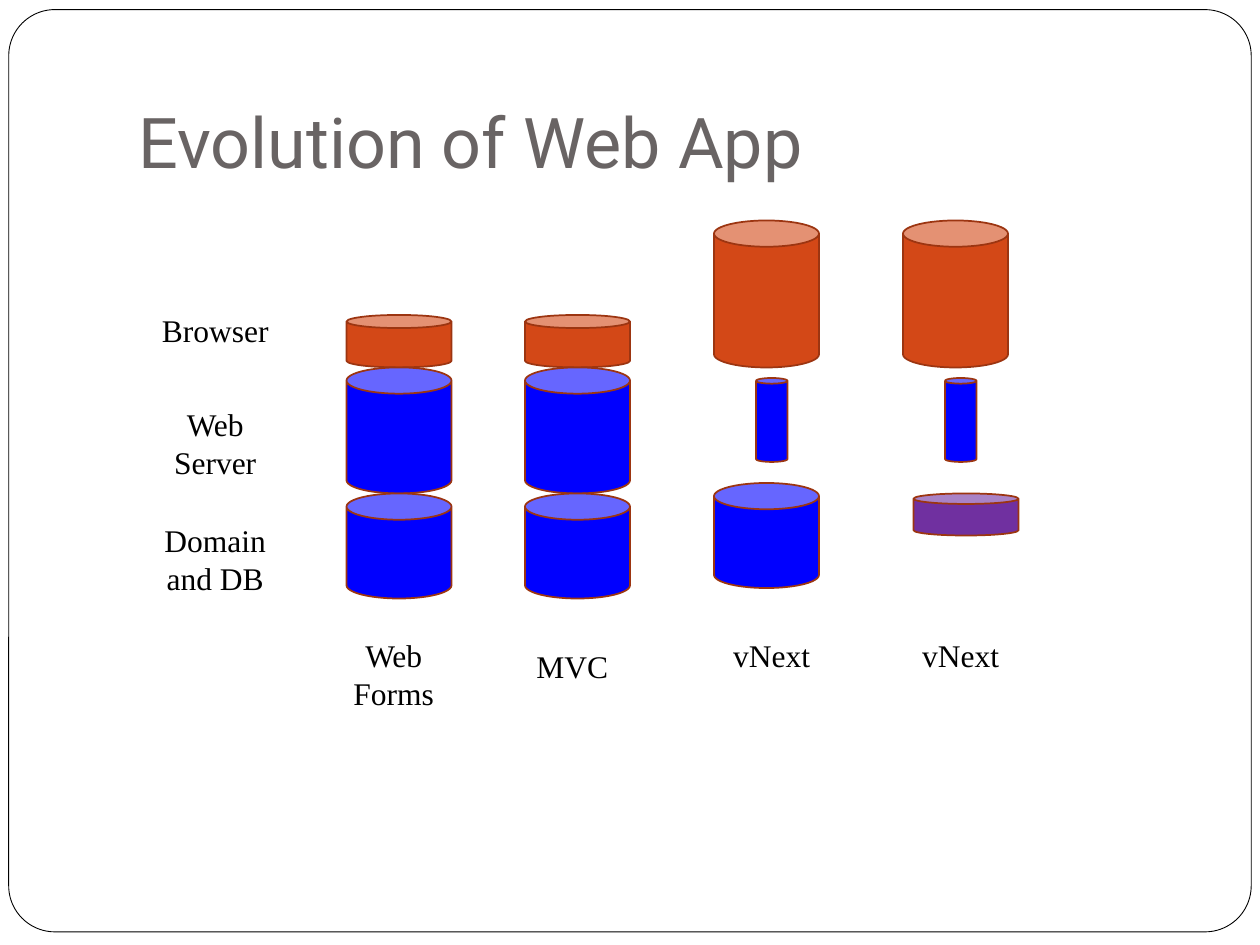
from pptx import Presentation
from pptx.dml.color import RGBColor
from pptx.enum import shapes, text
from pptx.util import Pt

WHITE = RGBColor(0xFF, 0xFF, 0xFF)
BLACK = RGBColor(0x00, 0x00, 0x00)
GREY = RGBColor(0x69, 0x64, 0x64)
ORANGE = RGBColor(0xD3, 0x48, 0x17)
BLUE = RGBColor(0x00, 0x00, 0xFF)
PURPLE = RGBColor(0x70, 0x30, 0xA0)
BROWN = RGBColor(0x9C, 0x35, 0x11)

CAN_WIDTH = 60
LABEL_WIDTH = 66
CLASSIC_TIERS = [
    (0, 180, CAN_WIDTH, 30, ORANGE),
    (0, 210, CAN_WIDTH, 72, BLUE),
    (0, 282, CAN_WIDTH, 60, BLUE),
]
THIN_SERVER_TIERS = [
    (0, 126, CAN_WIDTH, 84, ORANGE),
    (24, 216, 18, 48, BLUE),
]
STACKS = [
    (198, CLASSIC_TIERS, "Web Forms", -6, 360, 51),
    (300, CLASSIC_TIERS, "MVC", -6, 366, 29),
    (408, THIN_SERVER_TIERS + [(0, 276, CAN_WIDTH, 60, BLUE)], "vNext", 0, 360, 29),
    (516, THIN_SERVER_TIERS + [(6, 282, CAN_WIDTH, 24, PURPLE)], "vNext", 0, 360, 29),
]
TIER_LABELS = [
    ("Browser", 174, 78, 29),
    ("Web Server", 228, 78, 51),
    ("Domain and DB", 294, 102, 51),
]


def place(shape, left, top, width, height):
    """Move and size a shape, in points."""
    shape.left, shape.top = Pt(left), Pt(top)
    shape.width, shape.height = Pt(width), Pt(height)


def write_text(frame, words, size=18, font="Times New Roman", color=BLACK,
               align=text.PP_ALIGN.CENTER):
    """Write one formatted paragraph into a text frame."""
    frame.word_wrap = True
    paragraph = frame.paragraphs[0]
    paragraph.alignment = align
    run = paragraph.add_run()
    run.text = words
    run.font.size = Pt(size)
    run.font.name = font
    run.font.color.rgb = color


def add_outlined(slide, kind, box, fill, line, weight):
    """Add a filled preset shape with an outline and no shadow."""
    shape = slide.shapes.add_shape(kind, *map(Pt, box))
    shape.shadow.inherit = False
    shape.fill.solid()
    shape.fill.fore_color.rgb = fill
    shape.line.color.rgb = line
    shape.line.width = Pt(weight)
    return shape


def add_label(slide, words, left, top, width, height):
    """Add a centred caption that grows with its text."""
    label = slide.shapes.add_textbox(Pt(left), Pt(top), Pt(width), Pt(height))
    write_text(label.text_frame, words)
    label.text_frame.auto_size = text.MSO_AUTO_SIZE.SHAPE_TO_FIT_TEXT


def add_frame(slide, left, top, width, height):
    """Add the rounded page border behind everything else."""
    frame = add_outlined(slide, shapes.MSO_SHAPE.ROUNDED_RECTANGLE,
                         (left, top, width, height), WHITE, BLACK, 0.5)
    frame.adjustments[0] = 0.05
    slide.shapes.element.insert(2, frame.element)


def add_title(slide, left, top, width, height):
    """Fill the title placeholder."""
    title = slide.shapes.title
    place(title, left, top, width, height)
    frame = title.text_frame
    frame.vertical_anchor = text.MSO_ANCHOR.BOTTOM
    frame.margin_bottom = Pt(7.2)
    write_text(frame, "Evolution of Web App", size=40, font="Roboto",
               color=GREY, align=text.PP_ALIGN.LEFT)


def add_stack(slide, left, tiers, words, label_shift, label_top, label_height):
    """Add one column of cylinders and its caption."""
    for shift, top, width, height, fill in tiers:
        can = add_outlined(slide, shapes.MSO_SHAPE.CAN,
                           (left + shift, top, width, height), fill, BROWN, 1)
        can.adjustments[0] = 0.18 if width < CAN_WIDTH else 0.25
    add_label(slide, words, left + label_shift, label_top, LABEL_WIDTH, label_height)


def add_tier_labels(slide, center):
    """Add the tier names, centred on one vertical axis."""
    for words, top, width, height in TIER_LABELS:
        add_label(slide, words, center - width / 2, top, width, height)


def main():
    """Build the slide and save it."""
    presentation = Presentation()
    presentation.slide_width, presentation.slide_height = Pt(720), Pt(540)
    slide = presentation.slides.add_slide(presentation.slide_layouts[5])
    add_frame(slide, 5, 5.5, 710, 527)
    add_title(slide, 72, 21.6, 612, 90)
    for stack in STACKS:
        add_stack(slide, *stack)
    add_tier_labels(slide, 123)
    presentation.save("out.pptx")


if __name__ == "__main__":
    main()
